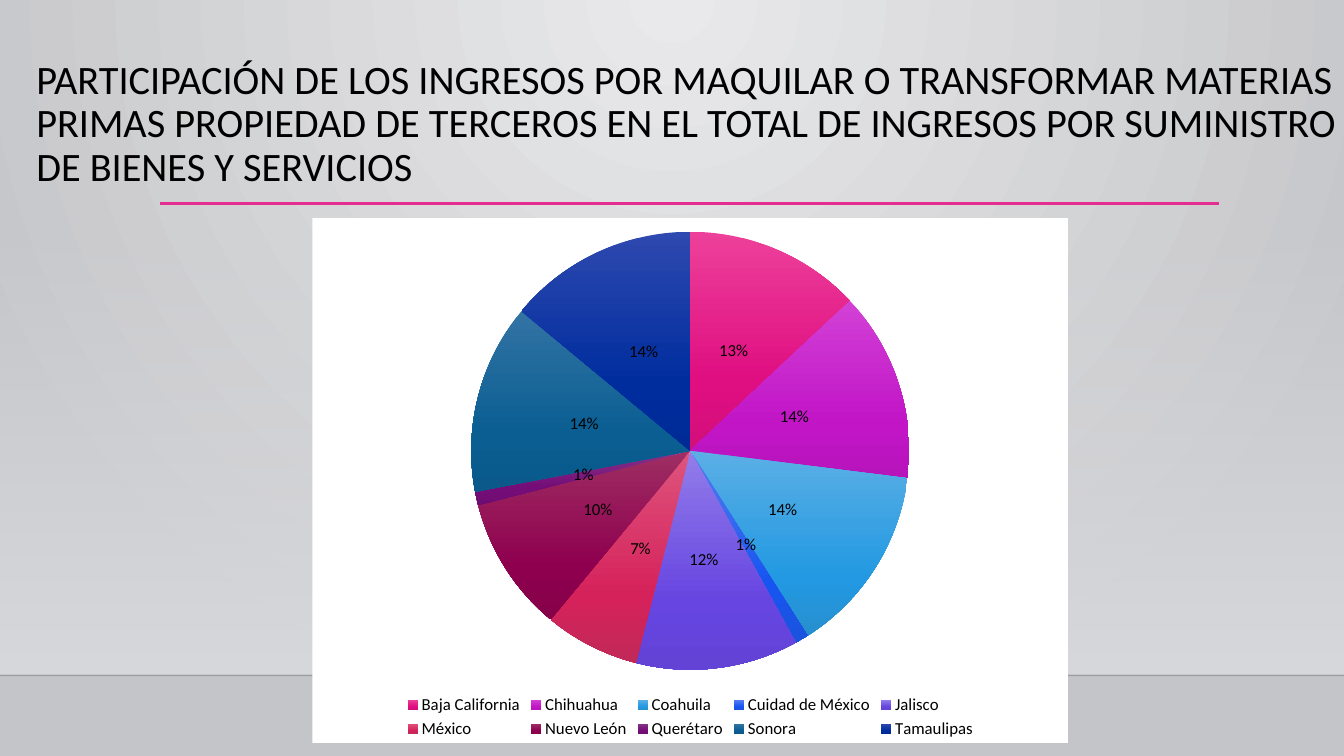
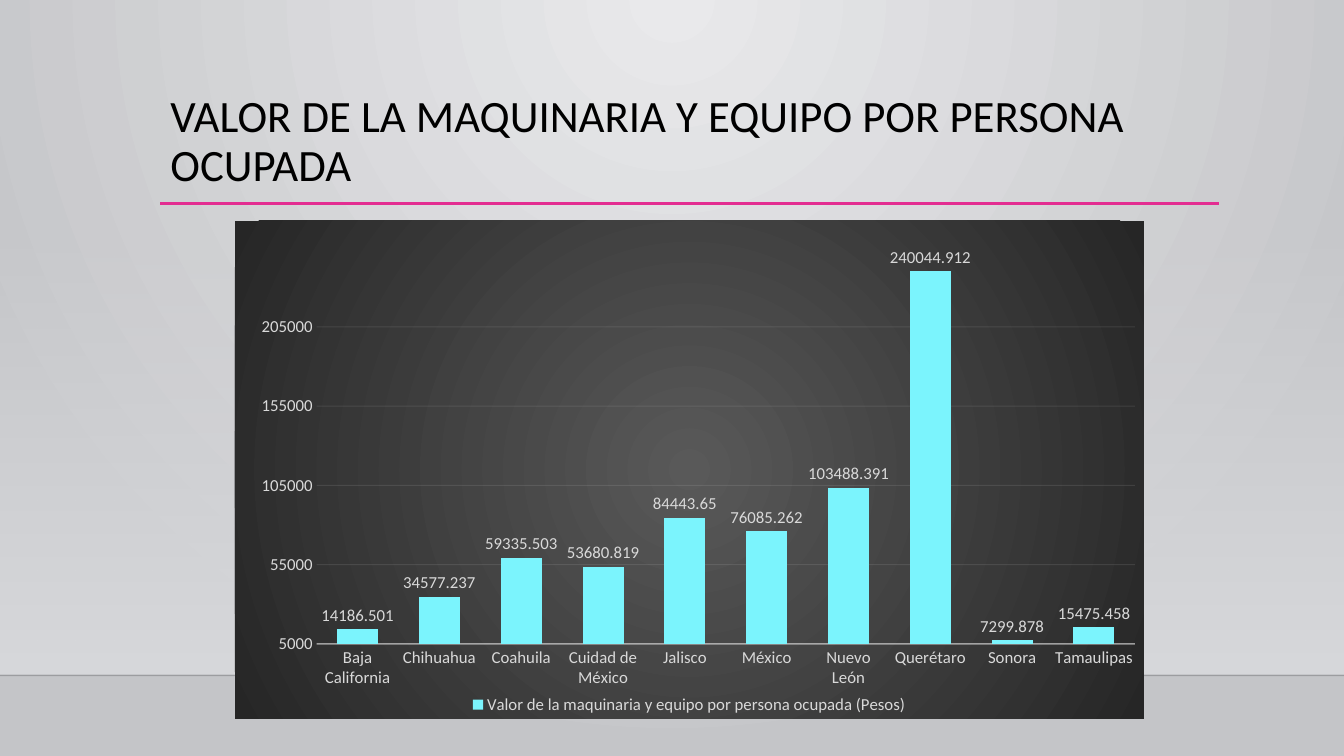
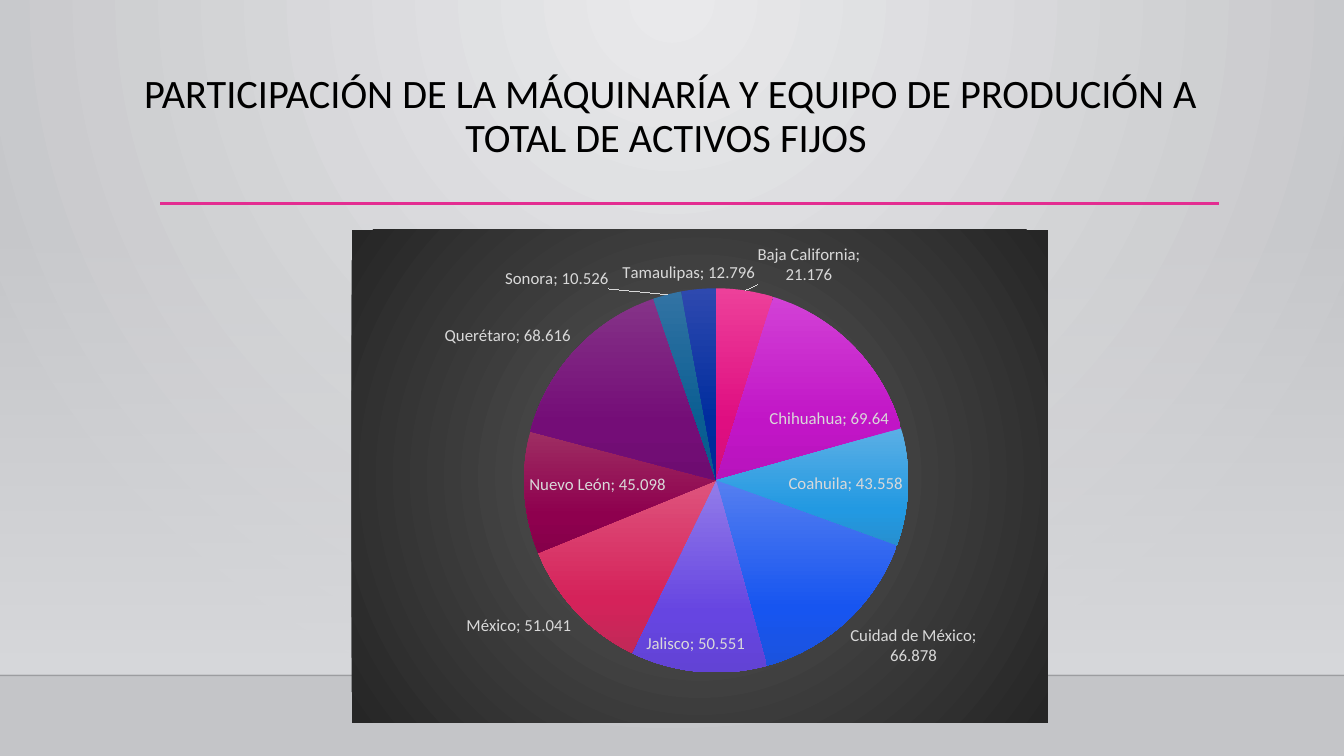
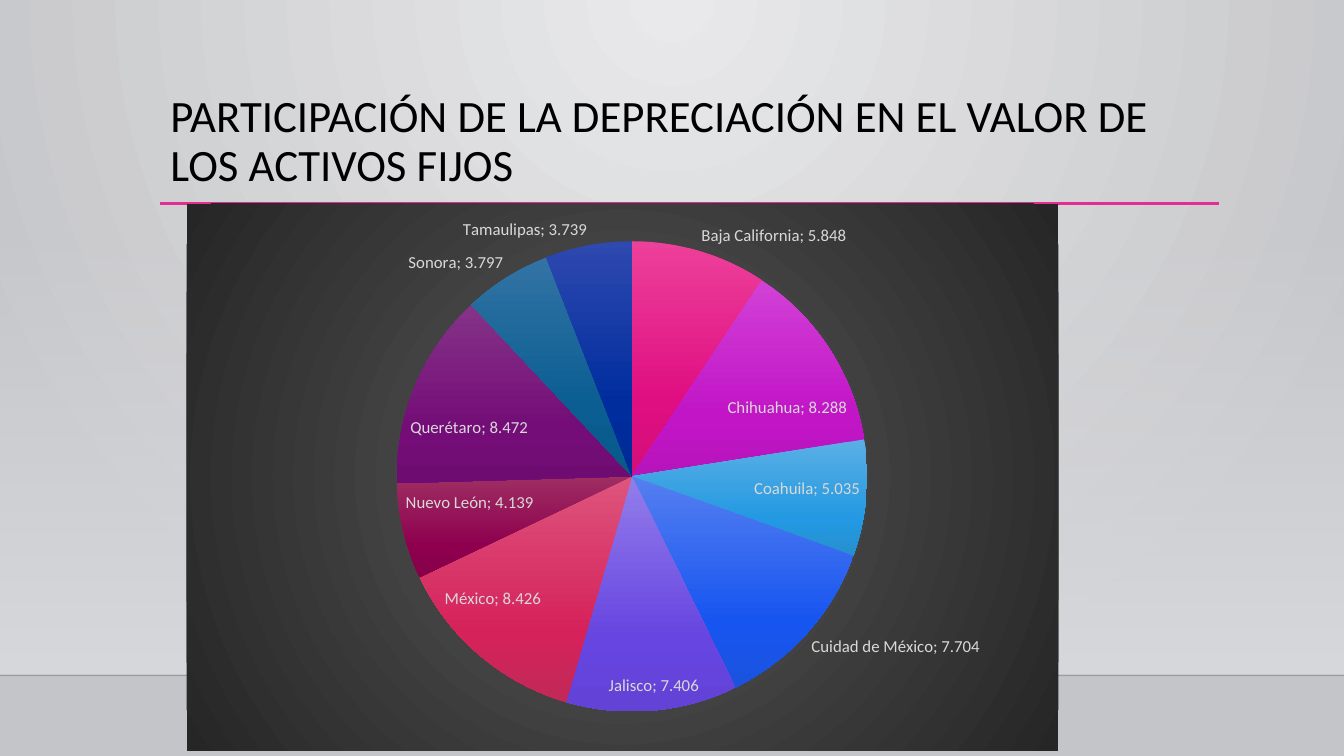
import dataclasses

import pptx
import pptx.chart.data
import pptx.dml.color
import pptx.enum.chart
import pptx.enum.shapes
import pptx.enum.text
import pptx.oxml
import pptx.oxml.ns
import pptx.util

Cm = pptx.util.Cm
Pt = pptx.util.Pt


@dataclasses.dataclass(frozen=True)
class Theme:
    font: str = "Calibri"
    title_large: float = 32
    title_small: float = 28.8
    chart_text: float = 12
    black: str = "000000"
    white: str = "FFFFFF"
    light_text: str = "D9D9D9"
    axis: str = "F2F2F2"
    accent: str = "E32D91"
    column: str = "7BF4FD"
    background: tuple = ((0, "E9E9EB"), (100, "C4C5C8"))
    panel: tuple = ((0, "D8D9DC", 0), (100, "D8D9DC"))
    dark: tuple = ((0, "595959"), (100, "262626"))
    slices: tuple = (
        ("ED409A", "DF0E81", "D20F7A"),
        ("D241D6", "C115C6", "B714BC"),
        ("5BAFE5", "2299E2", "278FCF"),
        ("557FF0", "1755F0", "1B53DE"),
        ("937DE9", "6645E1", "6243D5"),
        ("DE547D", "D5225A", "C12958"),
        ("9E2E63", "8E004E", "86004A"),
        ("853388", "740D77", "6E0C71"),
        ("3273A4", "0A5E92", "0A598A"),
        ("2E49AF", "002D9E", "002B96"),
    )
    slice_stops: tuple = (0, 69, 100)


THEME = Theme()
WIDTH, HEIGHT = 33.87, 19.05
TITLE_BOX = (4.04, 2.24, 26.67, 2.92)
STATES = ("Baja California", "Chihuahua", "Coahuila", "Cuidad de México", "Jalisco",
          "México", "Nuevo León", "Querétaro", "Sonora", "Tamaulipas")


def rgb(color):
    return pptx.dml.color.RGBColor.from_string(color)


def set_font(font, size, color):
    font.name = THEME.font
    font.size = Pt(size)
    font.color.rgb = rgb(color)


def gradient(stops, center=None):
    marks = ""
    for pos, color, *alpha in stops:
        opacity = "".join(f'<a:alpha val="{a * 1000}"/>' for a in alpha)
        marks += f'<a:gs pos="{pos * 1000}"><a:srgbClr val="{color}">{opacity}</a:srgbClr></a:gs>'
    if center:
        sides = " ".join(f'{side}="{value * 1000}"' for side, value in zip("ltrb", center))
        course = f'<a:path path="circle"><a:fillToRect {sides}/></a:path>'
    else:
        course = '<a:lin ang="5400000" scaled="0"/>'
    return pptx.oxml.parse_xml(
        f'<a:gradFill {pptx.oxml.ns.nsdecls("a")} rotWithShape="1">'
        f'<a:gsLst>{marks}</a:gsLst>{course}</a:gradFill>')


def swap_fills(element, query, fills):
    for solid, fill in zip(element.xpath(query), fills):
        solid.getparent().replace(solid, fill)


def style_line(line, color, width):
    line.color.rgb = rgb(color)
    line.width = Pt(width)


def set_alpha(element, query, percent):
    for color in element.xpath(query):
        color.append(pptx.oxml.parse_xml(
            f'<a:alpha {pptx.oxml.ns.nsdecls("a")} val="{percent * 1000}"/>'))


def add_line(slide, x1, x2, y, color, width):
    line = slide.shapes.add_connector(
        pptx.enum.shapes.MSO_CONNECTOR.STRAIGHT, Cm(x1), Cm(y), Cm(x2), Cm(y))
    style_line(line.line, color, width)
    line.element.spPr.append(pptx.oxml.parse_xml(
        f'<a:effectLst {pptx.oxml.ns.nsdecls("a")}/>'))
    return line


def decorate_layout(layout, slide):
    for ph in list(layout.placeholders):
        if ph.placeholder_format.type != pptx.enum.shapes.PP_PLACEHOLDER.TITLE:
            ph.element.getparent().remove(ph.element)
    layout.background.fill.solid()
    swap_fills(layout.element, ".//p:bgPr/a:solidFill",
               [gradient(THEME.background, (43, 0, 43, 100))])
    panel = slide.shapes.add_shape(
        pptx.enum.shapes.MSO_SHAPE.RECTANGLE, 0, Cm(5.61), Cm(WIDTH), Cm(11.4))
    panel.shadow.inherit = False
    panel.line.fill.background()
    panel.fill.solid()
    swap_fills(panel.element, "./p:spPr/a:solidFill", [gradient(THEME.panel)])
    horizon = add_line(slide, 0, WIDTH, 17.02, THEME.black, 1)
    set_alpha(horizon.element, ".//a:ln//a:srgbClr", 20)
    rule = add_line(slide, 4.04, 30.73, 5.13, THEME.accent, 2.5)
    for sp in (panel, horizon, rule):
        layout.shapes.element.append(sp.element)


def add_title(slide, text, box=TITLE_BOX, size=THEME.title_large, centered=False):
    title = slide.shapes.title
    title.left, title.top, title.width, title.height = map(Cm, box)
    tf = title.text_frame
    tf.word_wrap = True
    tf.auto_size = pptx.enum.text.MSO_AUTO_SIZE.NONE
    tf.vertical_anchor = pptx.enum.text.MSO_ANCHOR.TOP
    p = tf.paragraphs[0]
    align = pptx.enum.text.PP_ALIGN
    p.alignment = align.CENTER if centered else align.LEFT
    p.line_spacing = 0.9
    r = p.add_run()
    r.text = text
    set_font(r.font, size, THEME.black)


def add_chart(slide, kind, box, name, values, text_color, fill):
    data = pptx.chart.data.CategoryChartData()
    data.categories = STATES
    data.add_series(name, values)
    chart = slide.shapes.add_chart(kind, *map(Cm, box), data).chart
    chart.has_title = False
    chart.has_legend = False
    set_font(chart.font, THEME.chart_text, text_color)
    area = pptx.oxml.parse_xml(
        f'<c:spPr {pptx.oxml.ns.nsdecls("c", "a")}><a:ln><a:noFill/></a:ln></c:spPr>')
    area.insert(0, fill)
    chart.element.xpath("./c:chart")[0].addnext(area)
    chart.plots[0].vary_by_categories = kind == pptx.enum.chart.XL_CHART_TYPE.PIE
    return chart


def dark_fill():
    return gradient(THEME.dark, (50, 50, 50, 50))


def add_legend(chart, color):
    chart.has_legend = True
    chart.legend.position = pptx.enum.chart.XL_LEGEND_POSITION.BOTTOM
    chart.legend.include_in_layout = False
    set_font(chart.legend.font, THEME.chart_text, color)


def add_labels(chart, color, position):
    labels = chart.plots[0].series[0].data_labels
    labels.position = position
    set_font(labels.font, THEME.chart_text, color)
    return labels


def add_pie(slide, box, values, percent=False):
    color = THEME.black if percent else THEME.light_text
    fill = gradient(((0, THEME.white), (100, THEME.white))) if percent else dark_fill()
    chart = add_chart(slide, pptx.enum.chart.XL_CHART_TYPE.PIE, box, "Series 1",
                      values, color, fill)
    series = chart.plots[0].series[0]
    for i in range(len(values)):
        series.points[i].format.fill.solid()
    swap_fills(chart.element, ".//c:dPt/c:spPr/a:solidFill",
               [gradient(tuple(zip(THEME.slice_stops, colors))) for colors in THEME.slices])
    position = pptx.enum.chart.XL_LABEL_POSITION
    labels = add_labels(chart, color, position.CENTER if percent else position.BEST_FIT)
    labels.show_percentage = percent
    labels.show_value = not percent
    labels.show_category_name = not percent
    if percent:
        labels.number_format = "0%"
        labels.number_format_is_linked = False
        add_legend(chart, color)


def place_plot(chart, x, y, w, h):
    area = chart.element.xpath(".//c:plotArea")[0]
    for layout in area.xpath("./c:layout"):
        area.remove(layout)
    sizes = "".join(f'<c:{tag} val="{value}"/>' for tag, value in zip("xywh", (x, y, w, h)))
    area.insert(0, pptx.oxml.parse_xml(
        f'<c:layout {pptx.oxml.ns.nsdecls("c")}><c:manualLayout>'
        '<c:layoutTarget val="inner"/><c:xMode val="edge"/><c:yMode val="edge"/>'
        f'{sizes}</c:manualLayout></c:layout>'))


def add_columns(slide, box, name, values):
    color = THEME.light_text
    chart = add_chart(slide, pptx.enum.chart.XL_CHART_TYPE.COLUMN_CLUSTERED, box, name,
                      values, color, dark_fill())
    plot = chart.plots[0]
    plot.gap_width = 100
    plot.overlap = -24
    fill = plot.series[0].format.fill
    fill.solid()
    fill.fore_color.rgb = rgb(THEME.column)
    add_labels(chart, color, pptx.enum.chart.XL_LABEL_POSITION.OUTSIDE_END).show_value = True
    for axis in (chart.category_axis, chart.value_axis):
        axis.major_tick_mark = pptx.enum.chart.XL_TICK_MARK.NONE
        axis.minor_tick_mark = pptx.enum.chart.XL_TICK_MARK.NONE
        set_font(axis.tick_labels.font, THEME.chart_text, color)
    style_line(chart.category_axis.format.line, THEME.axis, 1)
    set_alpha(chart.element, ".//c:catAx/c:spPr//a:srgbClr", 54)
    scale = chart.value_axis
    scale.minimum_scale, scale.maximum_scale, scale.major_unit = 5000, 250000, 50000
    scale.format.line.fill.background()
    style_line(scale.major_gridlines.format.line, THEME.axis, 0.75)
    set_alpha(chart.element, ".//c:majorGridlines//a:srgbClr", 10)
    add_legend(chart, color)
    place_plot(chart, 0.09, 0.07, 0.9, 0.78)


def main():
    prs = pptx.Presentation()
    prs.slide_width, prs.slide_height = Cm(WIDTH), Cm(HEIGHT)
    layout = prs.slide_layouts[5]
    income, machinery, assets, depreciation = [prs.slides.add_slide(layout) for _ in range(4)]
    decorate_layout(layout, income)

    add_title(income, "PARTICIPACIÓN DE LOS INGRESOS POR MAQUILAR O TRANSFORMAR MATERIAS "
              "PRIMAS PROPIEDAD DE TERCEROS EN EL TOTAL DE INGRESOS POR SUMINISTRO "
              "DE BIENES Y SERVICIOS", (0.66, 1.37, WIDTH, 2.92), THEME.title_small)
    add_pie(income, (7.87, 5.49, 19.05, 13.23),
            (13, 14, 14, 1, 12, 7, 10, 1, 14, 14), percent=True)

    add_title(machinery, "VALOR DE LA MAQUINARIA Y EQUIPO POR PERSONA OCUPADA")
    add_columns(machinery, (5.92, 5.56, 22.91, 12.55),
                "Valor de la maquinaria y equipo por persona ocupada (Pesos)",
                (14186.501, 34577.237, 59335.503, 53680.819, 84443.65,
                 76085.262, 103488.391, 240044.912, 7299.878, 15475.458))

    add_title(assets, "PARTICIPACIÓN DE LA MÁQUINARÍA Y EQUIPO DE PRODUCIÓN A "
              "TOTAL DE ACTIVOS FIJOS ", (2.01, 1.73, 29.79, 2.03),
              THEME.title_small, centered=True)
    add_pie(assets, (8.86, 5.79, 17.55, 12.42),
            (21.176, 69.64, 43.558, 66.878, 50.551, 51.041, 45.098, 68.616, 10.526, 12.796))

    add_title(depreciation, "PARTICIPACIÓN DE LA DEPRECIACIÓN EN EL VALOR DE LOS ACTIVOS FIJOS")
    add_pie(depreciation, (4.7, 5.13, 21.97, 13.79),
            (5.848, 8.288, 5.035, 7.704, 7.406, 8.426, 4.139, 8.472, 3.797, 3.739))

    prs.save("out.pptx")


if __name__ == "__main__":
    main()
